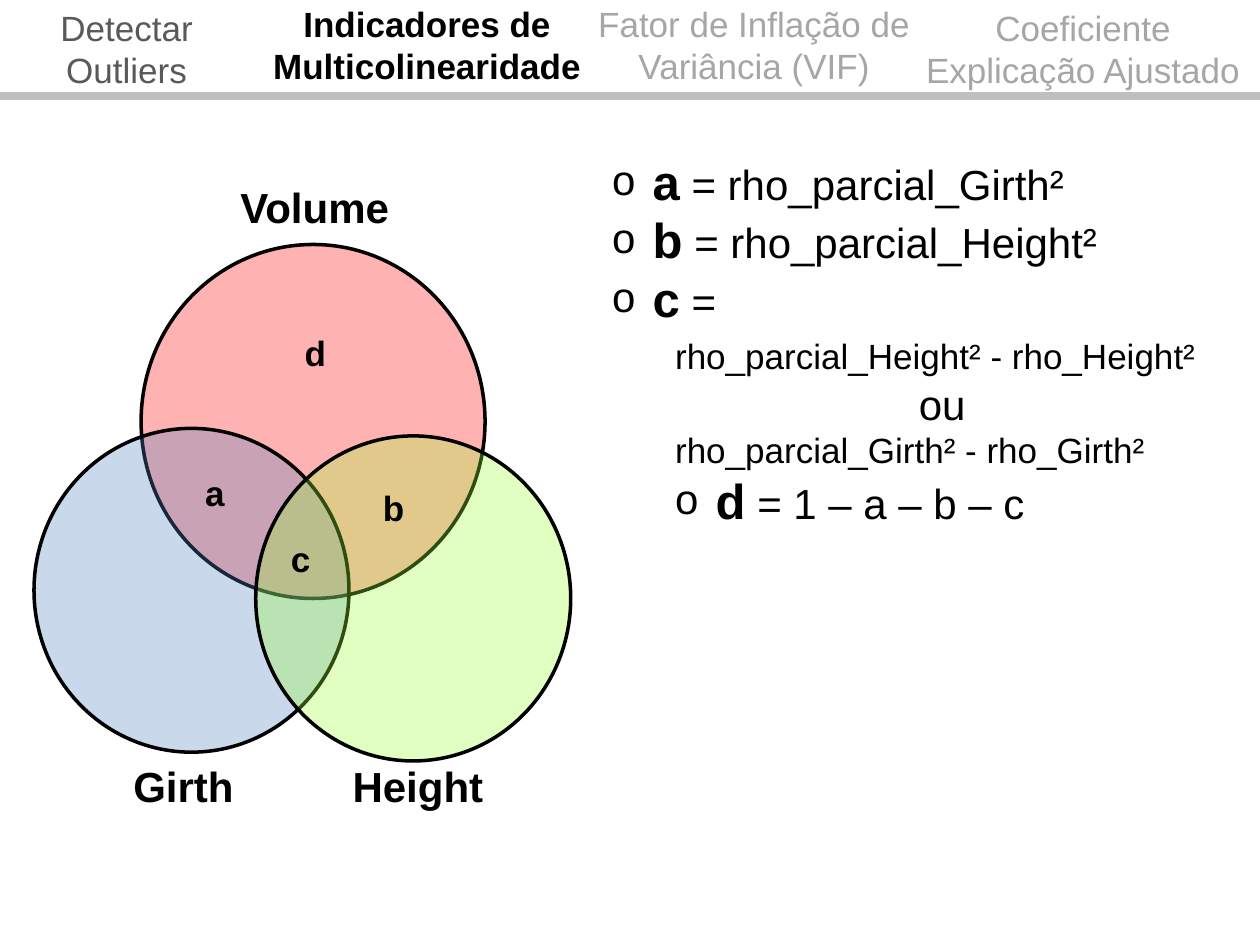
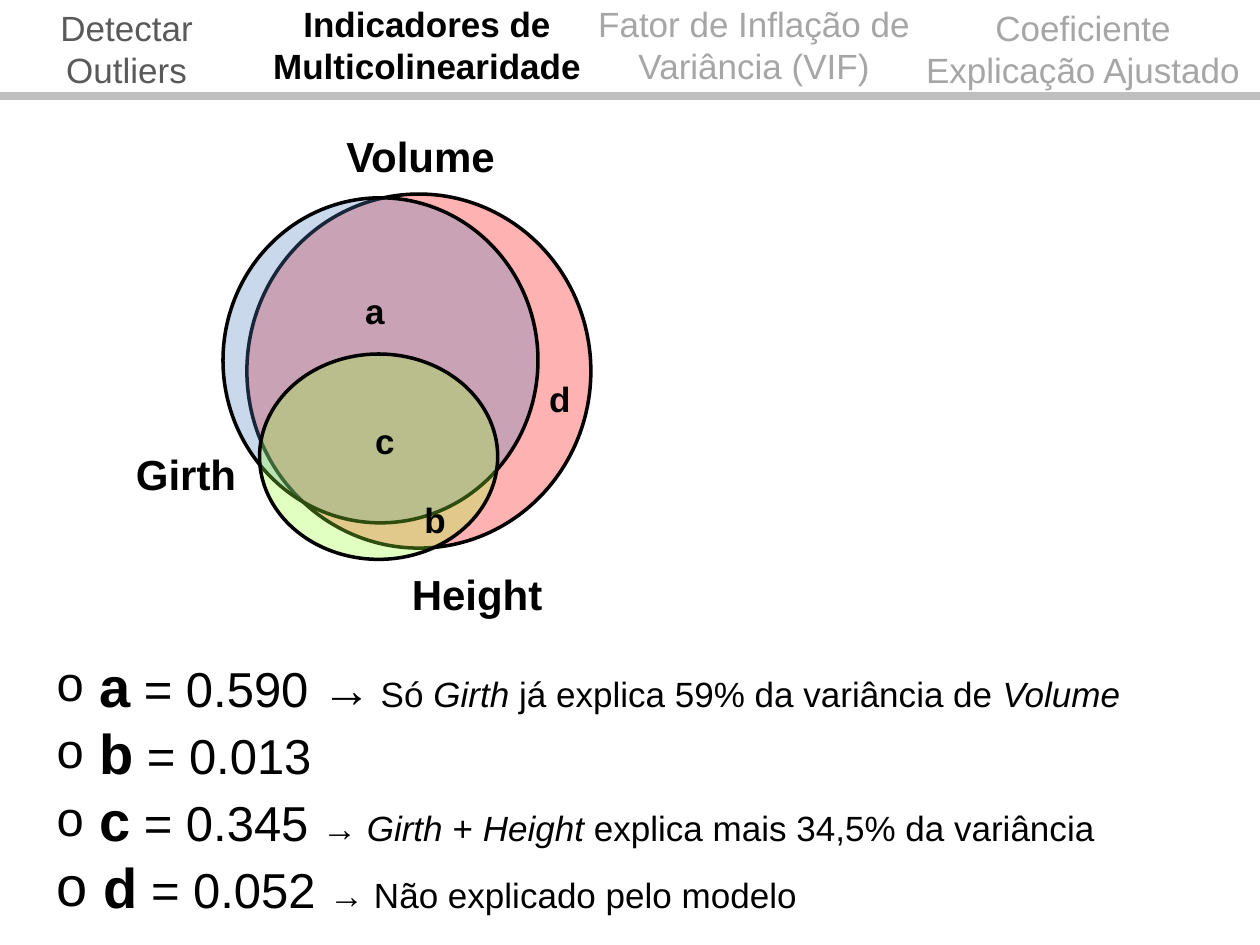
from lxml.etree import SubElement
from pptx import Presentation
from pptx.dml.color import RGBColor
from pptx.enum.shapes import MSO_CONNECTOR as Connector, MSO_SHAPE as Shape
from pptx.enum.text import MSO_AUTO_SIZE as AutoSize, PP_ALIGN as Align
from pptx.oxml.ns import qn
from pptx.util import Inches, Pt

COLORS = {
    "text": "000000",
    "visited": "595959",
    "upcoming": "A6A6A6",
    "rule": "BFBFBF",
    "Volume": "FF0000",
    "Girth": "4F81BD",
    "Height": "99FF33",
}
FONT = "Arial"
BULLET = {"bullet": "o", "margin": 0.23, "indent": -0.23}
BULLET_INDENTED = {"bullet": "o", "margin": 0.73, "indent": -0.23}
INDENTED = {"margin": 0.5}
INDENTED_CENTER = {"margin": 0.5, "align": Align.CENTER}
CENTER = {"align": Align.CENTER}
BOLD = {"bold": True}
ITALIC = {"italic": True}


def rgb(name):
    return RGBColor.from_string(COLORS[name])


def add_text(shapes, place, paragraphs, color="text"):
    box = shapes.add_textbox(*map(Inches, place))
    frame = box.text_frame
    frame.word_wrap = True
    frame.auto_size = AutoSize.SHAPE_TO_FIT_TEXT
    for index, (layout, spans) in enumerate(paragraphs):
        para = frame.add_paragraph() if index else frame.paragraphs[0]
        para.alignment = layout.get("align", Align.LEFT)
        properties = para._p.get_or_add_pPr()
        properties.set("marL", str(Inches(layout.get("margin", 0))))
        properties.set("indent", str(Inches(layout.get("indent", 0))))
        if "bullet" in layout:
            bullet_color = SubElement(properties, qn("a:buClr"))
            SubElement(bullet_color, qn("a:srgbClr")).set("val", COLORS[color])
            SubElement(properties, qn("a:buFont")).set("typeface", FONT)
            SubElement(properties, qn("a:buChar")).set("char", layout["bullet"])
        for text, size, style in spans:
            span = para.add_run()
            span.text = text
            span.font.color.rgb = rgb(color)
            for name, value in {"name": FONT, "size": Pt(size), **style}.items():
                setattr(span.font, name, value)


TABS = [
    ("Detectar Outliers", (0, 0, 2.01, 0.77), "visited", {}),
    ("Indicadores de Multicolinearidade", (2.01, -0.03, 2.76, 0.77), "text", BOLD),
    ("Fator de Inflação de Variância (VIF)", (4.53, -0.03, 2.91, 0.77), "upcoming", {}),
    ("Coeficiente Explicação Ajustado", (7.19, 0, 2.81, 0.77), "upcoming", {}),
]
LABEL_SIZES = {
    "Volume": (1.45, 0.5, 24),
    "Girth": (1.05, 0.5, 24),
    "Height": (1.3, 0.5, 24),
    "a": (0.4, 0.44, 20),
    "b": (0.4, 0.44, 20),
    "c": (0.4, 0.44, 20),
    "d": (0.4, 0.44, 20),
}
PAGES = [
    {
        "circles": {
            "Volume": (1.12, 1.94, 2.73, 2.81),
            "Girth": (0.27, 3.4, 2.5, 2.57),
            "Height": (2.03, 3.46, 2.5, 2.58),
        },
        "labels": {
            "Volume": (1.81, 1.39),
            "Girth": (0.96, 5.99),
            "Height": (2.7, 5.99),
            "a": (1.53, 3.69),
            "b": (2.94, 3.81),
            "c": (2.21, 4.22),
            "d": (2.32, 2.58),
        },
        "notes_place": (4.76, 1.15, 5.03, 3.1),
        "notes": [
            (BULLET, [(" ", 24, BOLD), ("a", 28, BOLD), (" = rho_parcial_Girth²", 24, {})]),
            (BULLET, [(" ", 24, BOLD), ("b", 28, BOLD), (" = rho_parcial_Height²", 24, {})]),
            (BULLET, [(" ", 24, BOLD), ("c", 28, BOLD), (" =", 24, {})]),
            (INDENTED, [("rho_parcial_Height² - rho_Height²", 20, {}), (" ", 24, {})]),
            (INDENTED_CENTER, [("ou ", 24, {})]),
            (INDENTED, [("rho_parcial_Girth² - rho_Girth²", 20, {})]),
            (BULLET_INDENTED, [(" ", 24, BOLD), ("d", 28, BOLD), (" = 1 – a – b – c", 24, {})]),
        ],
    },
    {
        "circles": {
            "Volume": (1.96, 1.54, 2.73, 2.81),
            "Girth": (1.77, 1.57, 2.5, 2.58),
            "Height": (2.06, 2.81, 1.89, 1.63),
        },
        "labels": {
            "Volume": (2.65, 0.99),
            "Girth": (0.98, 3.51),
            "Height": (3.17, 4.46),
            "a": (2.8, 2.25),
            "b": (3.27, 3.91),
            "c": (2.88, 3.28),
            "d": (4.26, 2.95),
        },
        "notes_place": (0.35, 5.12, 9.41, 2.24),
        "notes": [
            (BULLET, [
                (" ", 28, BOLD), ("a", 32, BOLD), (" = 0.590 →", 28, {}), (" Só ", 20, {}),
                ("Girth", 20, ITALIC), (" já explica 59% da variância de ", 20, {}),
                ("Volume", 20, ITALIC),
            ]),
            (BULLET, [(" ", 28, BOLD), ("b", 32, BOLD), (" = 0.013", 28, {})]),
            (BULLET, [
                (" ", 28, BOLD), ("c", 32, BOLD), (" = 0.345 ", 28, {}), ("→ ", 20, {}),
                ("Girth", 20, ITALIC), (" + ", 20, {}), ("Height", 20, ITALIC),
                (" explica mais 34,5% da variância", 20, {}),
            ]),
            (BULLET, [
                (" d", 32, BOLD), (" = 0.052 ", 28, {}),
                ("→ Não explicado pelo modelo", 20, {}),
            ]),
        ],
    },
]

deck = Presentation()
deck.slide_width, deck.slide_height = Inches(10), Inches(7.5)

for content in PAGES:
    page = deck.slides.add_slide(deck.slide_layouts[6])

    for title, place, color, style in TABS:
        add_text(page.shapes, place, [(CENTER, [(title, 20, style)])], color)

    rule = page.shapes.add_connector(
        Connector.STRAIGHT, 0, Inches(0.76), deck.slide_width, Inches(0.76)
    )
    rule.line.color.rgb = rgb("rule")
    rule.line.width = Pt(4.5)
    SubElement(rule._element.spPr, qn("a:effectLst"))

    diagram = page.shapes.add_group_shape()
    for variable, place in content["circles"].items():
        circle = diagram.shapes.add_shape(Shape.OVAL, *map(Inches, place))
        circle.shadow.inherit = False
        circle.fill.solid()
        circle.fill.fore_color.rgb = rgb(variable)
        fill_color = circle._element.spPr.find(qn("a:solidFill")).find(qn("a:srgbClr"))
        SubElement(fill_color, qn("a:alpha")).set("val", "30000")
        circle.line.color.rgb = rgb("text")
        circle.line.width = Pt(2)

    for label, corner in content["labels"].items():
        width, height, size = LABEL_SIZES[label]
        add_text(diagram.shapes, (*corner, width, height), [({}, [(label, size, BOLD)])])

    add_text(page.shapes, content["notes_place"], content["notes"])

deck.save("out.pptx")
